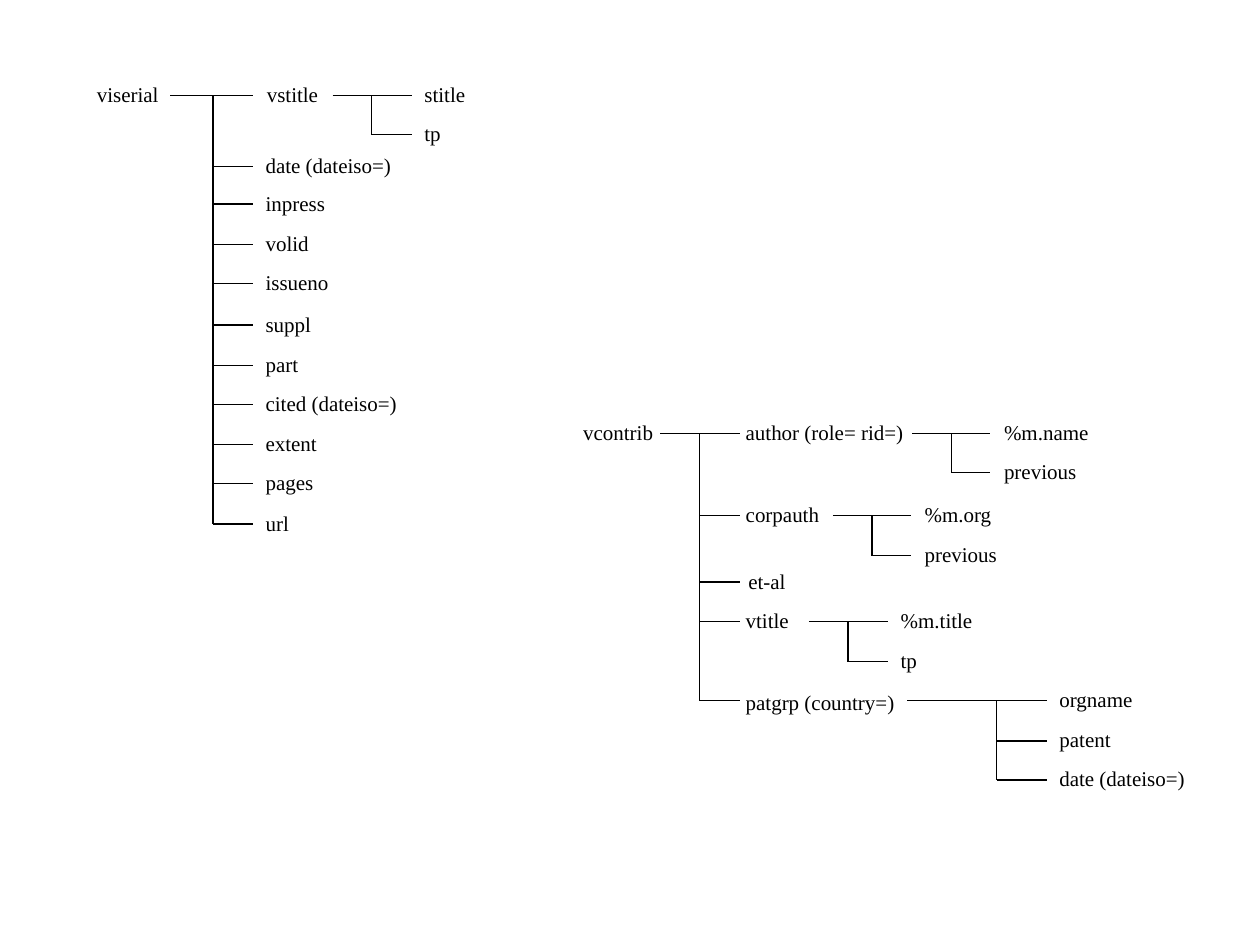
from dataclasses import dataclass

import pptx
import pptx.dml.color
import pptx.enum.shapes
import pptx.enum.text
import pptx.oxml
import pptx.oxml.ns
import pptx.util

Inches = pptx.util.Inches


@dataclass(frozen=True)
class Theme:
    ink: pptx.dml.color.RGBColor = pptx.dml.color.RGBColor(0, 0, 0)
    font: str = "Times New Roman"
    size: float = 12
    line: float = 0.75


@dataclass(frozen=True)
class Node:
    """An element name, centred on the row y; dx and dy nudge the label."""
    text: str
    y: float
    width: float
    dx: float = 0
    dy: float = 0


@dataclass(frozen=True)
class Branch:
    """A stem from x = start, a trunk, and one tick per child up to x = end."""
    start: float
    trunk: float
    end: float
    label_x: float
    children: tuple[Node, ...]


THEME = Theme()
LABEL_HEIGHT = 0.3
LABEL_RISE = 0.16  # from the top of a label to its row

ROOTS = (
    (0.67, Node("viserial", 0.76, 0.79)),
    (4.53, Node("vcontrib", 3.44, 0.79)),
)

BRANCHES = (
    # viserial and its only nested element
    Branch(1.35, 1.69, 2.01, 2.01, (
        Node("vstitle", 0.76, 0.63, dx=0.01),
        Node("date (dateiso=)", 1.32, 1.5),
        Node("inpress", 1.62, 1.5),
        Node("volid", 1.94, 1.5),
        Node("issueno", 2.25, 1.5),
        Node("suppl", 2.58, 1.5),
        Node("part", 2.9, 1.5),
        Node("cited (dateiso=)", 3.21, 1.5),
        Node("extent", 3.53, 1.5),
        Node("pages", 3.84, 1.5),
        Node("url", 4.16, 1.5),
    )),
    Branch(2.64, 2.95, 3.27, 3.27, (
        Node("stitle", 0.76, 0.79),
        Node("tp", 1.07, 0.95),
    )),
    # vcontrib and its nested elements
    Branch(5.24, 5.55, 5.87, 5.82, (
        Node("author (role= rid=)", 3.44, 1.5),
        Node("corpauth", 4.09, 0.79),
        Node("et-al", 4.62, 0.79, dx=0.02),
        Node("vtitle", 4.93, 0.6),
        Node("patgrp (country=)", 5.56, 1.39, dy=0.02),
    )),
    Branch(7.24, 7.55, 7.86, 7.87, (
        Node("%m.name", 3.44, 0.95),
        Node("previous", 3.75, 0.95),
    )),
    Branch(6.61, 6.92, 7.23, 7.24, (
        Node("%m.org", 4.09, 0.79),
        Node("previous", 4.41, 0.95),
    )),
    Branch(6.42, 6.73, 7.05, 7.05, (
        Node("%m.title", 4.93, 0.79),
        Node("tp", 5.25, 0.95),
    )),
    Branch(7.2, 7.91, 8.31, 8.31, (
        Node("orgname", 5.56, 0.95),
        Node("patent", 5.88, 0.95),
        Node("date (dateiso=)", 6.19, 1.26),
    )),
)


def add_line(s, x1: float, y1: float, x2: float, y2: float) -> None:
    line = s.shapes.add_connector(
        pptx.enum.shapes.MSO_CONNECTOR.STRAIGHT,
        Inches(x1), Inches(y1), Inches(x2), Inches(y2))
    line.line.color.rgb = THEME.ink
    line.line.width = pptx.util.Pt(THEME.line)
    effects = pptx.oxml.parse_xml(
        f'<a:effectLst {pptx.oxml.ns.nsdecls("a")}/>')
    line._element.spPr.append(effects)


def add_label(s, x: float, node: Node) -> None:
    top = node.y - LABEL_RISE + node.dy
    sp = s.shapes.add_textbox(Inches(x + node.dx), Inches(top),
                              Inches(node.width), Inches(LABEL_HEIGHT))
    tf = sp.text_frame
    tf.word_wrap = True
    tf.auto_size = pptx.enum.text.MSO_AUTO_SIZE.SHAPE_TO_FIT_TEXT
    tf.text = node.text
    font = tf.paragraphs[0].runs[0].font
    font.name = THEME.font
    font.size = pptx.util.Pt(THEME.size)
    font.color.rgb = THEME.ink


def add_branch(s, branch: Branch) -> None:
    first, *rest = branch.children
    add_line(s, branch.start, first.y, branch.end, first.y)
    add_line(s, branch.trunk, first.y, branch.trunk, rest[-1].y)
    for node in rest:
        add_line(s, branch.trunk, node.y, branch.end, node.y)
    for node in branch.children:
        add_label(s, branch.label_x, node)


def main() -> None:
    prs = pptx.Presentation()
    prs.slide_width, prs.slide_height = Inches(10), Inches(7.5)
    s = prs.slides.add_slide(prs.slide_layouts.get_by_name("Blank"))
    for x, root in ROOTS:
        add_label(s, x, root)
    for branch in BRANCHES:
        add_branch(s, branch)
    prs.save("out.pptx")


if __name__ == "__main__":
    main()
